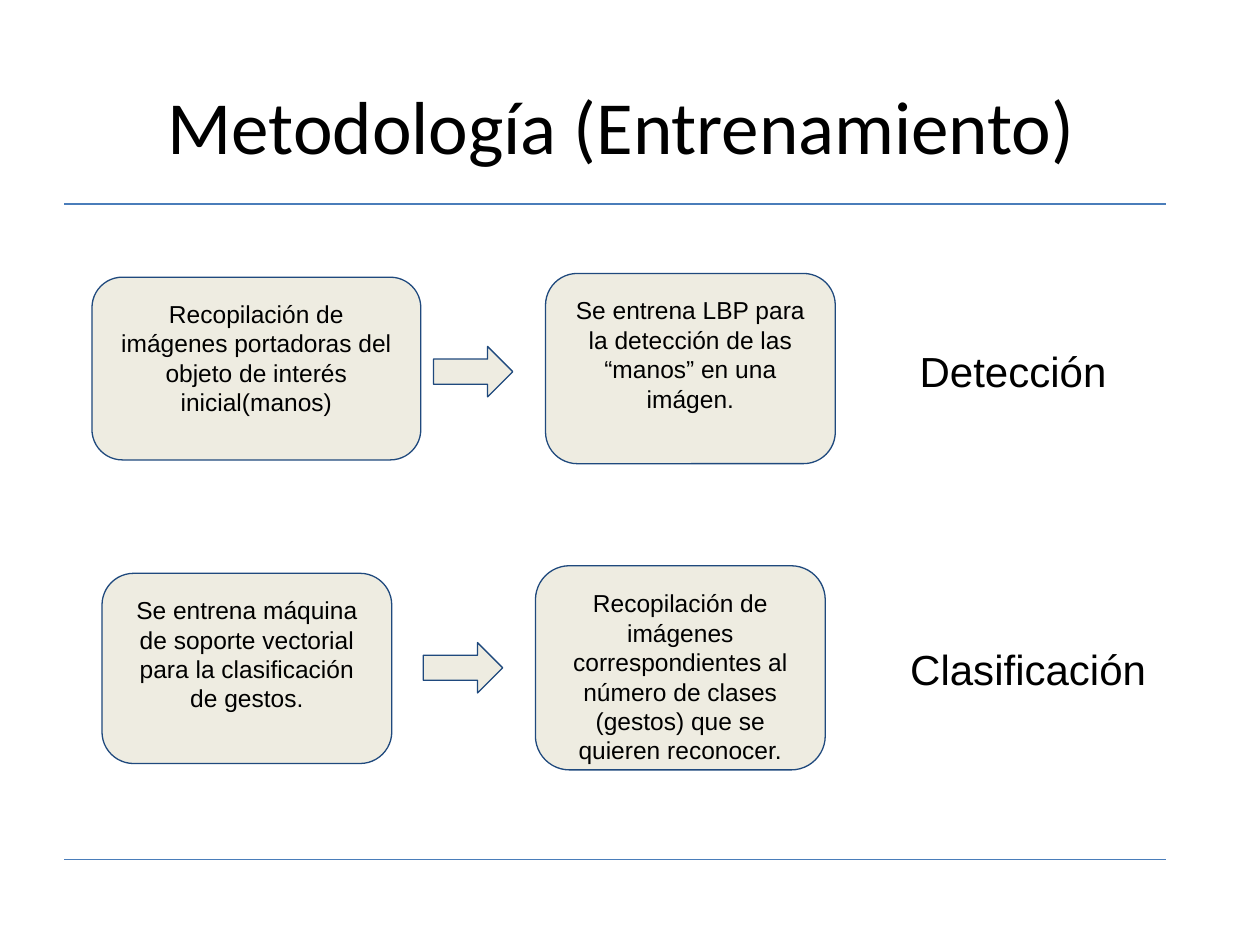
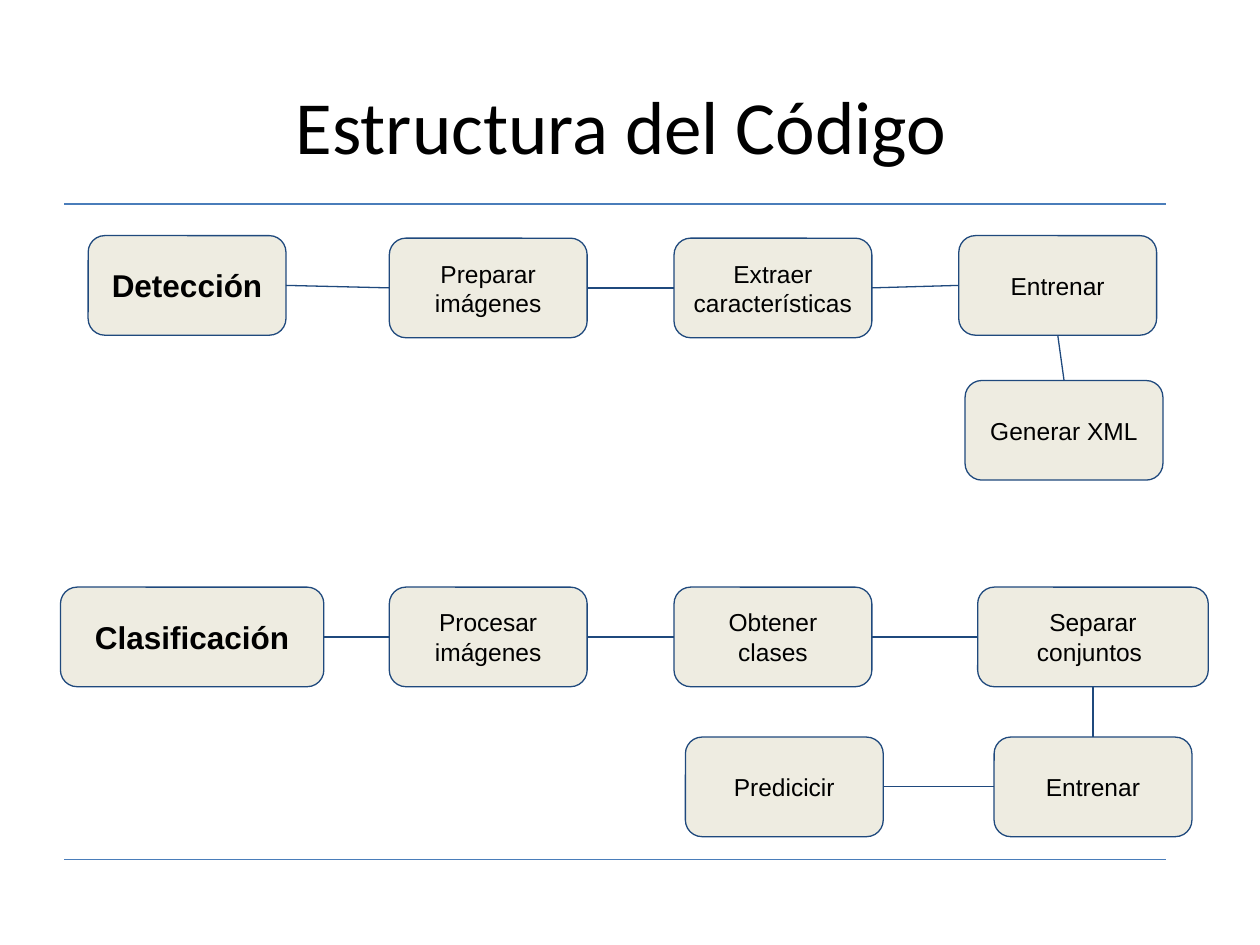
from lxml import etree
from pptx import Presentation
from pptx.dml.color import RGBColor
from pptx.enum import shapes, text
from pptx.oxml.ns import qn
from pptx.util import Inches, Pt

BLACK = RGBColor(0x00, 0x00, 0x00)
CREAM = RGBColor(0xEE, 0xEC, 0xE1)
NAVY = RGBColor(0x1F, 0x49, 0x7D)
RULE_BLUE = RGBColor(0x4A, 0x7D, 0xBA)
TOP, LEFT, BOTTOM, RIGHT = range(4)


def add_line(slide, color, start=(0, 0), end=(0, 0)):
    line = slide.shapes.add_connector(
        shapes.MSO_CONNECTOR.STRAIGHT, *[Inches(v) for v in (*start, *end)])
    line.line.color.rgb = color
    line.line.width = Pt(0.75)
    etree.SubElement(line.element.spPr, qn("a:effectLst"))
    return line


def add_block(slide, kind, bounds, wording="", size=14, bold=False,
              anchor=text.MSO_ANCHOR.MIDDLE):
    """Add a cream block of the given preset, or a bare label if kind is None."""
    box = [Inches(v) for v in bounds]
    if kind is None:
        block = slide.shapes.add_textbox(*box)
    else:
        block = slide.shapes.add_shape(kind, *box)
        block.shadow.inherit = False
        block.fill.solid()
        block.fill.fore_color.rgb = CREAM
        block.line.color.rgb = NAVY
        block.line.width = Pt(0.75)
    if wording:
        frame = block.text_frame
        frame.word_wrap = True
        frame.vertical_anchor = anchor
        frame.margin_left = frame.margin_right = Inches(0.1)
        frame.margin_top = frame.margin_bottom = Inches(0.1)
        paragraph = frame.paragraphs[0]
        paragraph.alignment = text.PP_ALIGN.CENTER
        run = paragraph.add_run()
        run.text = wording
        run.font.name = "Arial"
        run.font.size = Pt(size)
        run.font.bold = bold
        run.font.color.rgb = BLACK
    return block


prs = Presentation()
prs.slide_width, prs.slide_height = Inches(10), Inches(7.5)
layout = prs.slide_layouts.get_by_name("Title Only")

# Shared title position and slide titles
layout_title = layout.placeholders[0]
layout_title.left, layout_title.top = Inches(0.43), Inches(0.36)
layout_title.width, layout_title.height = Inches(9), Inches(1.25)

slides = []
for heading in ("Metodología (Entrenamiento)", "Estructura del Código"):
    slide = prs.slides.add_slide(layout)
    frame = slide.shapes.title.text_frame
    frame.auto_size = text.MSO_AUTO_SIZE.NONE
    frame.vertical_anchor = text.MSO_ANCHOR.MIDDLE
    frame.paragraphs[0].alignment = text.PP_ALIGN.CENTER
    run = frame.paragraphs[0].add_run()
    run.text = heading
    run.font.name = "Calibri"
    run.font.size = Pt(42.9)
    run.font.color.rgb = BLACK
    slides.append(slide)
methodology, structure = slides

# The rules above and below the content belong to the layout
for rule_id, y in ((101, 1.62), (102, 6.82)):
    rule = add_line(methodology, RULE_BLUE, (0.51, y), (9.25, y))
    rule.element.xpath(".//p:cNvPr")[0].set("id", str(rule_id))
    layout.shapes.element.append(rule.element)

# Slide 1: training steps
ROUNDED = shapes.MSO_SHAPE.ROUNDED_RECTANGLE
steps = [
    ((4.33, 2.17, 2.3, 1.51),
     "Se entrena LBP para la detección de las “manos” en una imágen."),
    ((0.73, 2.2, 2.61, 1.45),
     "Recopilación de imágenes portadoras del objeto de interés inicial(manos)"),
    ((4.25, 4.49, 2.3, 1.62),
     "Recopilación de imágenes correspondientes al número de clases (gestos) "
     "que se quieren reconocer."),
    ((0.81, 4.55, 2.3, 1.51),
     "Se entrena máquina de soporte vectorial para la clasificación de gestos."),
]
for bounds, wording in steps:
    add_block(methodology, ROUNDED, bounds, wording, anchor=text.MSO_ANCHOR.TOP)

for phase, x, y in (("Detección", 6.89, 2.58), ("Clasificación", 7.01, 4.94)):
    add_block(methodology, None, (x, y, 2.3, 0.73), phase, size=24)

for x, y in ((3.44, 2.75), (3.36, 5.1)):
    add_block(methodology, shapes.MSO_SHAPE.RIGHT_ARROW, (x, y, 0.63, 0.4))

# Slide 2: code modules, each chain listed in order of flow
MODULE_WIDTH, MODULE_HEIGHT = 1.57, 0.79
chains = [
    [("Detección", 0.7, 1.87, MODULE_WIDTH),
     ("Preparar imágenes", 3.09, 1.89, MODULE_WIDTH),
     ("Extraer características", 5.35, 1.89, MODULE_WIDTH),
     ("Entrenar", 7.61, 1.87, MODULE_WIDTH),
     ("Generar XML", 7.66, 3.02, MODULE_WIDTH)],
    [("Clasificación", 0.48, 4.66, 2.09),
     ("Procesar imágenes", 3.09, 4.66, MODULE_WIDTH),
     ("Obtener clases", 5.35, 4.66, MODULE_WIDTH),
     ("Separar conjuntos ", 7.76, 4.66, 1.83),
     ("Entrenar", 7.89, 5.85, MODULE_WIDTH),
     ("Predicicir", 5.44, 5.85, MODULE_WIDTH)],
]
for chain in chains:
    modules = []
    for position, (wording, x, y, width) in enumerate(chain):
        is_phase = position == 0
        modules.append(add_block(structure, ROUNDED, (x, y, width, MODULE_HEIGHT),
                                 wording, 18 if is_phase else 14, is_phase))
    for source, target in zip(modules, modules[1:]):
        if target.top > source.top + source.height:
            sides = BOTTOM, TOP
        elif target.left > source.left:
            sides = RIGHT, LEFT
        else:
            sides = LEFT, RIGHT
        link = add_line(structure, NAVY)
        link.begin_connect(source, sides[0])
        link.end_connect(target, sides[1])

prs.save("out.pptx")
